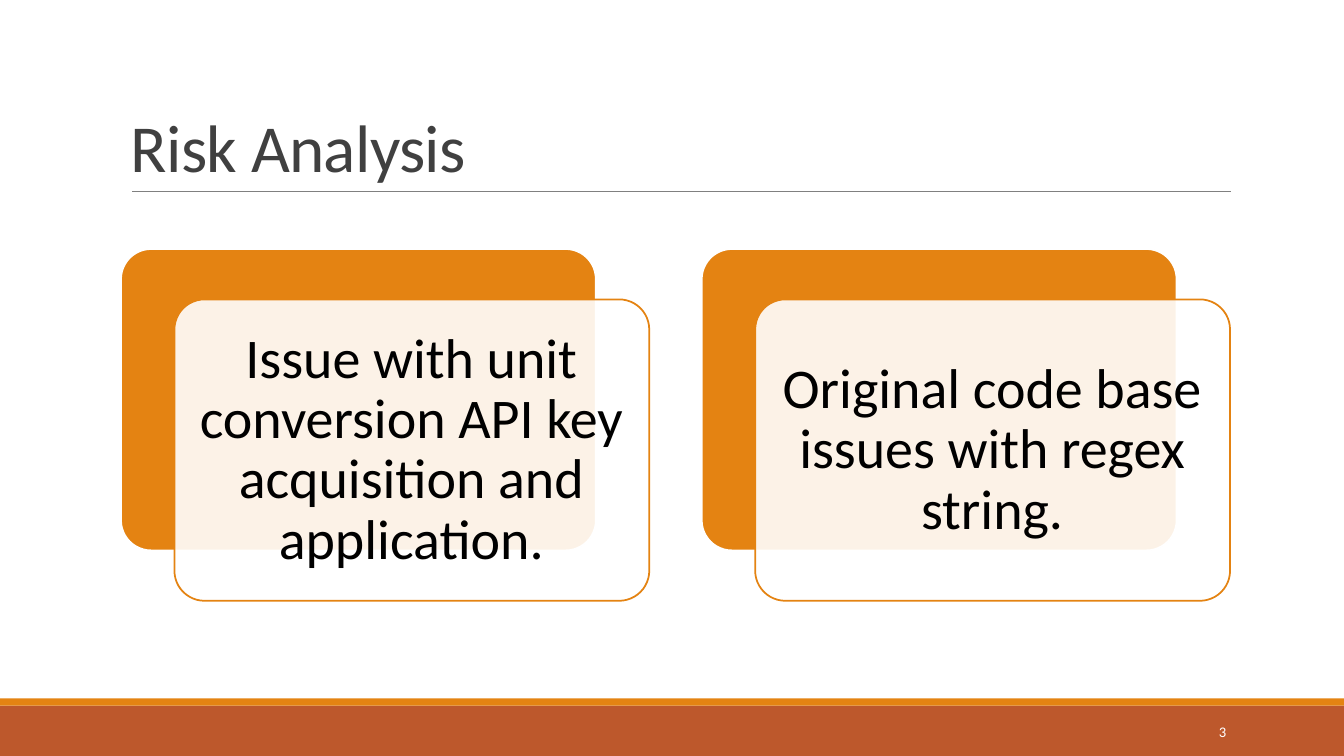
"""Build the Risk Analysis slide with two layered risk cards."""
from pptx import Presentation
from pptx.dml.color import RGBColor
from pptx.enum.shapes import MSO_CONNECTOR as Connector, MSO_SHAPE as Shape
from pptx.enum.text import MSO_ANCHOR as Anchor, PP_ALIGN as Align
from pptx.oxml.ns import qn
from pptx.util import Inches, Pt
from lxml.etree import SubElement

RUST = RGBColor(0xBD, 0x58, 0x2C)
ORANGE = RGBColor(0xE4, 0x83, 0x12)
GRAY = RGBColor(0x80, 0x80, 0x80)
DARK = RGBColor(0x40, 0x40, 0x40)
BLACK = RGBColor(0, 0, 0)
WHITE = RGBColor(0xFF, 0xFF, 0xFF)

deck = Presentation()
deck.slide_width, deck.slide_height = Inches(13.33), Inches(7.5)
slide = deck.slides.add_slide(deck.slide_layouts[6])


def add_block(kind, left, top, width, height, fill, line=None):
    block = slide.shapes.add_shape(kind, Inches(left), Inches(top), Inches(width), Inches(height))
    block.shadow.inherit = False
    block.fill.solid()
    block.fill.fore_color.rgb = fill
    if line is None:
        block.line.fill.background()
    else:
        block.line.color.rgb = line
        block.line.width = Pt(1.25)
        block.adjustments[0] = 0.1
    return block


def add_text(text, left, top, width, height, size, color, anchor, align, spacing=1.0):
    box = slide.shapes.add_textbox(Inches(left), Inches(top), Inches(width), Inches(height))
    frame = box.text_frame
    frame.word_wrap = True
    frame.vertical_anchor = anchor
    para = frame.paragraphs[0]
    para.alignment = align
    para.line_spacing = spacing
    span = para.add_run()
    span.text = text
    span.font.name = "Calibri"
    span.font.size = Pt(size)
    span.font.color.rgb = color
    return frame, span


add_block(Shape.RECTANGLE, 0, 7, 13.33, 0.5, RUST)
add_block(Shape.RECTANGLE, 0, 6.93, 13.33, 0.07, ORANGE)

rule = slide.shapes.add_connector(Connector.STRAIGHT, Inches(1.31), Inches(1.9), Inches(12.21), Inches(1.9))
rule.line.color.rgb = GRAY
rule.line.width = Pt(0.5)
SubElement(rule._element.spPr, qn("a:effectLst"))

title_frame, title_span = add_text(
    "Risk Analysis", 1.2, 0.31, 11, 1.59, 48, DARK, Anchor.BOTTOM, Align.LEFT, 0.85)
title_span._r.get_or_add_rPr().set("spc", "-50")

risks = [
    "Issue with unit conversion API key acquisition and application.",
    "Original code base issues with regex string.",
]
for index, risk in enumerate(risks):
    left = 1.2 + index * 5.76
    add_block(Shape.ROUNDED_RECTANGLE, left, 2.47, 4.71, 2.99, ORANGE, WHITE)
    card = add_block(Shape.ROUNDED_RECTANGLE, left + 0.53, 2.97, 4.71, 2.99, WHITE, ORANGE)
    card_color = card._element.spPr.find(qn("a:solidFill")).find(qn("a:srgbClr"))
    SubElement(card_color, qn("a:alpha")).set("val", "90000")
    frame, span = add_text(
        risk, left + 0.61, 3.06, 4.54, 2.82, 40, BLACK, Anchor.MIDDLE, Align.CENTER, 0.9)
    frame.margin_left = frame.margin_right = Inches(0.17)
    frame.margin_top = frame.margin_bottom = Inches(0.17)

add_text("3", 10.83, 7.06, 1.43, 0.4, 10.5, WHITE, Anchor.MIDDLE, Align.RIGHT)

deck.save("out.pptx")
